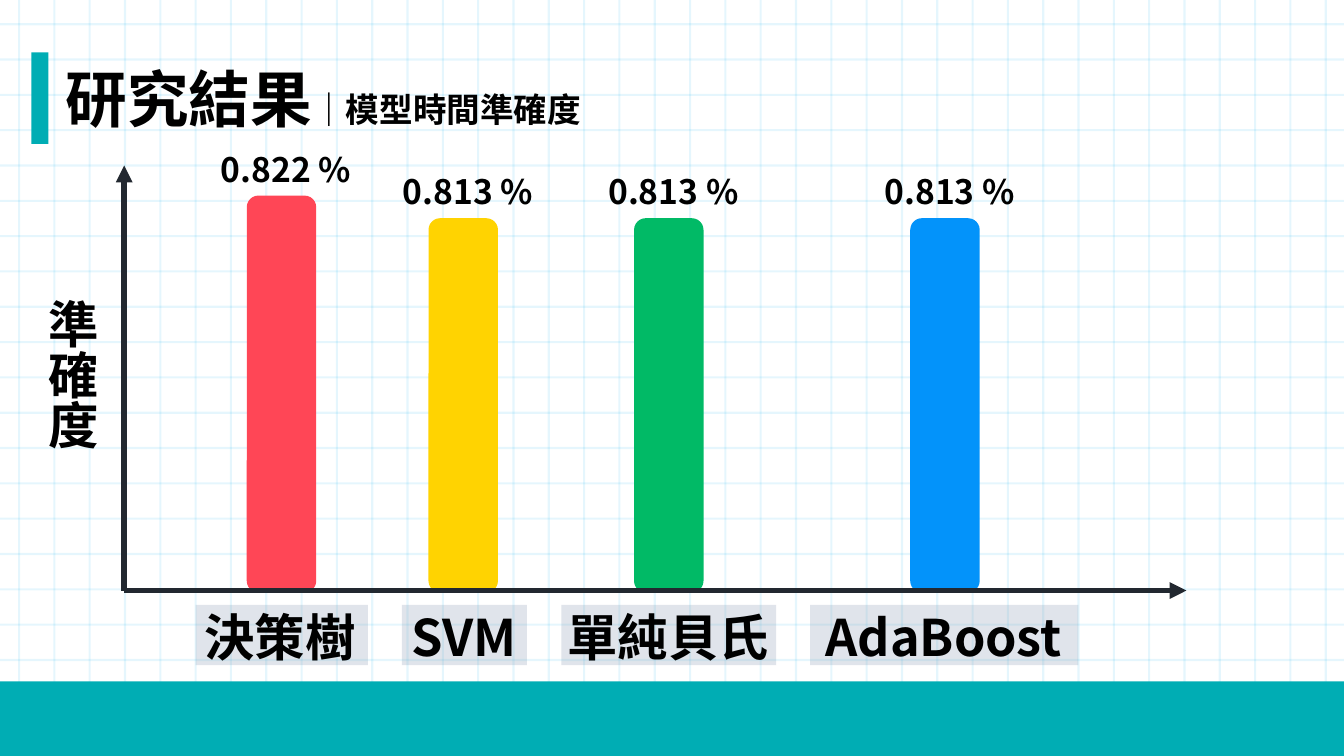
from dataclasses import dataclass

from lxml.etree import SubElement
from pptx import Presentation
from pptx.dml.color import RGBColor
from pptx.enum.shapes import MSO_CONNECTOR, MSO_SHAPE
from pptx.enum.text import MSO_ANCHOR, MSO_AUTO_SIZE, PP_ALIGN
from pptx.oxml.ns import qn
from pptx.util import Cm, Pt


@dataclass(frozen=True)
class Theme:
    font: str = "Noto Sans CJK TC"
    text: str = "000000"
    teal: str = "00ADB4"
    grid: str = "00B0F0"
    axis: str = "222830"
    tag: str = "8497B0"
    title_size: int = 44
    name_size: int = 36
    small_size: int = 24
    grid_width: float = 1.5
    axis_width: float = 4


@dataclass(frozen=True)
class Model:
    name: str
    value: str
    color: str
    bar_left: float
    bar_top: float
    tag_left: float
    tag_width: float
    name_left: float
    name_width: float


THEME = Theme()
MODELS = [
    Model("決策樹", "0.822 %", "FF4656", 6.22, 4.93, 4.93, 4.34, 4.9, 4.34),
    Model("SVM", "0.813 %", "FFD301", 10.8, 5.5, 10.13, 3.15, 10.11, 3.35),
    Model("單純貝氏", "0.813 %", "01BA66", 15.98, 5.5, 14.15, 5.41, 14.05, 5.74),
    Model("AdaBoost", "0.813 %", "0393FA", 22.94, 5.5, 20.42, 6.76, 20.55, 6.76),
]
PAGE_WIDTH, PAGE_HEIGHT = 33.87, 19.05
GRID_STEP = 0.89
BAR_WIDTH, BAR_BOTTOM = 1.75, 14.93
TAG_TOP = 15.24


def set_alpha(element, percent):
    """Make the solid colour inside an element see-through."""
    color = element.find(".//" + qn("a:srgbClr"))
    SubElement(color, qn("a:alpha")).set("val", str(percent * 1000))


def add_block(page, kind, left, top, width, height, color, alpha=None):
    block = page.shapes.add_shape(kind, Cm(left), Cm(top), Cm(width), Cm(height))
    block.shadow.inherit = False
    block.fill.solid()
    block.fill.fore_color.rgb = RGBColor.from_string(color)
    block.line.fill.background()
    if alpha is not None:
        set_alpha(block.element.spPr, alpha)


def add_line(page, x1, y1, x2, y2, color, width, alpha=None, arrow=False):
    line = page.shapes.add_connector(
        MSO_CONNECTOR.STRAIGHT, Cm(x1), Cm(y1), Cm(x2), Cm(y2))
    line.line.color.rgb = RGBColor.from_string(color)
    line.line.width = Pt(width)
    properties = line.element.spPr
    if alpha is not None:
        set_alpha(properties, alpha)
    if arrow:
        SubElement(properties.find(qn("a:ln")), qn("a:tailEnd")).set("type", "triangle")
    SubElement(properties, qn("a:effectLst"))


def add_span(para, text, size):
    span = para.add_run()
    span.text = text
    span.font.name = THEME.font
    span.font.size = Pt(size)
    span.font.bold = True
    span.font.color.rgb = RGBColor.from_string(THEME.text)
    east_asian = SubElement(span.font._element, qn("a:ea"))
    east_asian.set("typeface", THEME.font)


def add_label(page, text, left, top, width, height, size):
    box = page.shapes.add_textbox(Cm(left), Cm(top), Cm(width), Cm(height))
    frame = box.text_frame
    frame.word_wrap = True
    frame.vertical_anchor = MSO_ANCHOR.MIDDLE
    para = frame.paragraphs[0]
    para.line_spacing = 0.9
    add_span(para, text, size)
    return box


def add_axis_title(page):
    box = add_label(page, "準確度", 0.79, 7.45, 1.83, 4.3, THEME.name_size)
    box.element.txBody.find(qn("a:bodyPr")).set("vert", "eaVert")
    # Narrow margins keep the three characters in one column
    frame = box.text_frame
    frame.margin_left = frame.margin_right = Cm(0.1)
    frame.margin_top = frame.margin_bottom = Cm(0.1)


def add_grid(page):
    for row in range(21):
        y = 0.61 + row * GRID_STEP
        add_line(page, 34.52, y, -0.66, y, THEME.grid, THEME.grid_width, alpha=10)
    for column in range(38):
        x = 0.48 + column * GRID_STEP
        add_line(page, x, -6.5, x, 24.33, THEME.grid, THEME.grid_width, alpha=10)


def add_title(page):
    title = page.shapes.title
    title.left, title.top, title.width, title.height = Cm(1.4), Cm(1.4), Cm(15.24), Cm(2.13)
    # Bring the title in front of the grid
    title.element.getparent().append(title.element)
    frame = title.text_frame
    frame.word_wrap = True
    frame.auto_size = MSO_AUTO_SIZE.NONE
    frame.vertical_anchor = MSO_ANCHOR.TOP
    para = frame.paragraphs[0]
    para.alignment = PP_ALIGN.LEFT
    add_span(para, "研究結果", THEME.title_size)
    add_span(para, "｜模型時間準確度", THEME.small_size)


def add_model(page, model):
    add_block(page, MSO_SHAPE.RECTANGLE, model.tag_left, TAG_TOP,
              model.tag_width, 1.52, THEME.tag, alpha=25)
    add_label(page, model.name, model.name_left, TAG_TOP,
              model.name_width, 1.78, THEME.name_size)
    add_label(page, model.value, model.bar_left - 0.9, model.bar_top - 1.5,
              3.96, 1.78, THEME.small_size)


def main():
    deck = Presentation()
    deck.slide_width, deck.slide_height = Cm(PAGE_WIDTH), Cm(PAGE_HEIGHT)
    page = deck.slides.add_slide(deck.slide_layouts[5])

    # Backdrop
    add_grid(page)
    add_block(page, MSO_SHAPE.RECTANGLE, 0, 17.17, PAGE_WIDTH, 1.88, THEME.teal)
    add_block(page, MSO_SHAPE.RECTANGLE, 0.79, 1.32, 0.43, 2.31, THEME.teal)
    add_title(page)

    # Bars, with the axes drawn over their feet
    for model in MODELS:
        add_block(page, MSO_SHAPE.ROUNDED_RECTANGLE, model.bar_left, model.bar_top,
                  BAR_WIDTH, BAR_BOTTOM - model.bar_top, model.color)
    for end_x, end_y in ((3.13, 4.17), (29.9, 14.88)):
        add_line(page, 3.13, 14.88, end_x, end_y, THEME.axis, THEME.axis_width, arrow=True)

    # Labels
    for model in MODELS:
        add_model(page, model)
    add_axis_title(page)

    deck.save("out.pptx")


if __name__ == "__main__":
    main()
